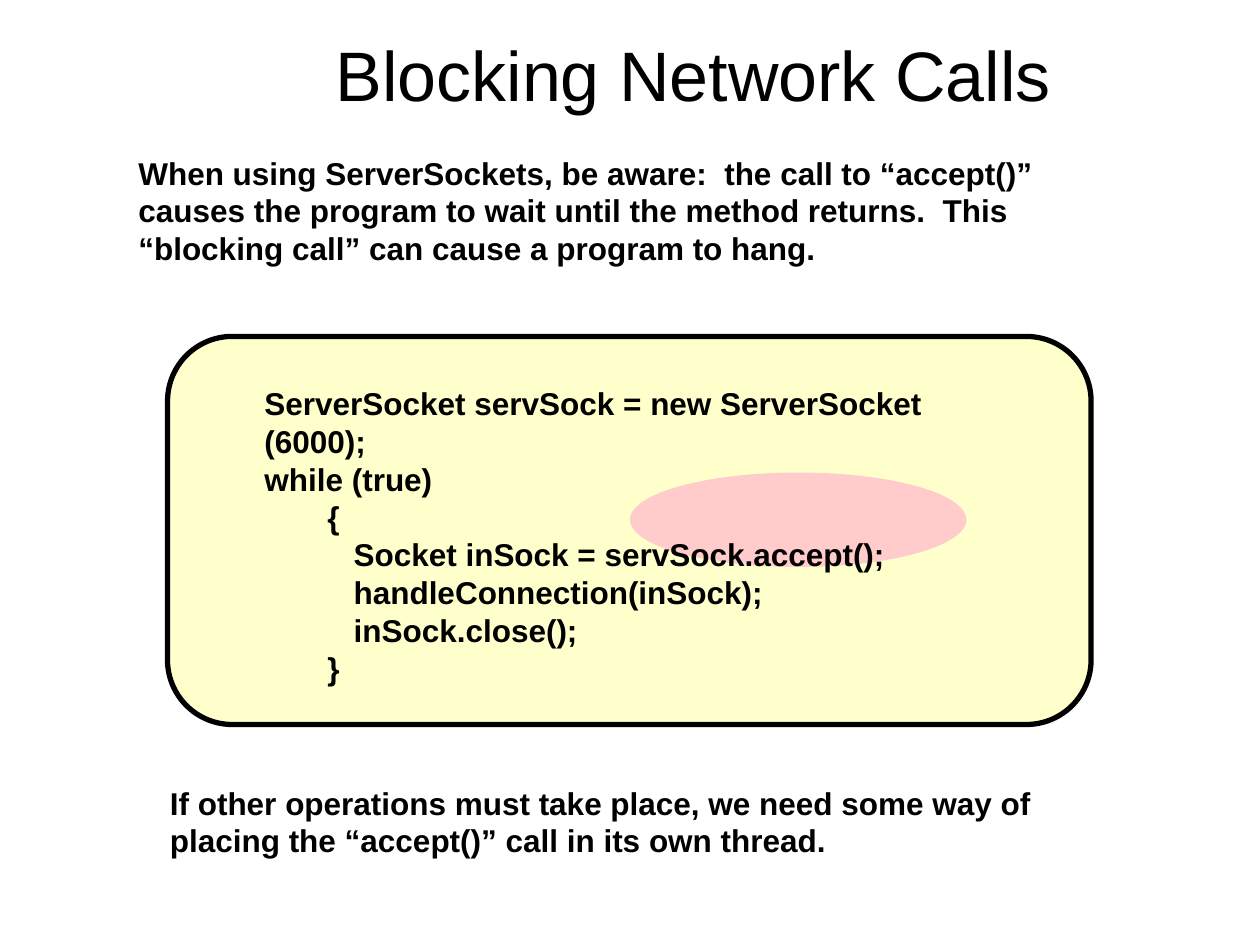
from dataclasses import dataclass

from lxml.etree import SubElement
from pptx import Presentation
from pptx.dml.color import RGBColor
from pptx.enum.shapes import MSO_SHAPE as Shape
from pptx.enum.text import MSO_ANCHOR as Anchor, MSO_AUTO_SIZE as AutoSize, PP_ALIGN as Align
from pptx.oxml.ns import qn
from pptx.util import Inches, Pt


@dataclass(frozen=True)
class Theme:
    font: str = "Arial"
    ink: RGBColor = RGBColor(0, 0, 0)
    panel: RGBColor = RGBColor(0xFF, 0xFF, 0x99)
    highlight: RGBColor = RGBColor(0xFF, 0x99, 0xCC)
    opacity: int = 50
    title_size: int = 40
    text_size: int = 18
    outline: int = 3


class PageBuilder:
    def __init__(self, page, theme):
        self.page = page
        self.theme = theme

    def style(self, frame, size, bold, align):
        for para in frame.paragraphs:
            para.alignment = align
            for span in para.runs:
                span.font.name = self.theme.font
                span.font.size = Pt(size)
                span.font.bold = bold
                span.font.color.rgb = self.theme.ink

    def title(self, text, left, top, width, height):
        box = self.page.shapes.title
        box.left, box.top = Inches(left), Inches(top)
        box.width, box.height = Inches(width), Inches(height)
        frame = box.text_frame
        frame.text = text
        frame.vertical_anchor = Anchor.MIDDLE
        frame.auto_size = AutoSize.NONE
        self.style(frame, self.theme.title_size, False, Align.CENTER)

    def shape(self, kind, color, left, top, width, height, outlined=False):
        shape = self.page.shapes.add_shape(
            kind, Inches(left), Inches(top), Inches(width), Inches(height)
        )
        shape.shadow.inherit = False
        shape.fill.solid()
        shape.fill.fore_color.rgb = color
        tint = shape.fill._xPr.find(qn("a:solidFill"))[0]
        SubElement(tint, qn("a:alpha"), val=str(self.theme.opacity * 1000))
        if outlined:
            shape.line.color.rgb = self.theme.ink
            shape.line.width = Pt(self.theme.outline)
        else:
            shape.line.fill.background()

    def text(self, text, left, top, width, height, wrap=True):
        box = self.page.shapes.add_textbox(
            Inches(left), Inches(top), Inches(width), Inches(height)
        )
        frame = box.text_frame
        frame.text = text
        frame.word_wrap = wrap
        frame.auto_size = AutoSize.SHAPE_TO_FIT_TEXT
        self.style(frame, self.theme.text_size, True, Align.LEFT)


CODE = [
    "ServerSocket servSock = new ServerSocket (6000);",
    "while (true)",
    "\t{",
    "\t   Socket inSock = servSock.accept();",
    "\t   handleConnection(inSock);",
    "\t   inSock.close();",
    "\t}",
]


def main():
    deck = Presentation()
    deck.slide_width, deck.slide_height = Inches(10), Inches(7.5)
    theme = Theme()
    builder = PageBuilder(deck.slides.add_slide(deck.slide_layouts[5]), theme)

    builder.title("Blocking Network Calls", 1, 0.25, 9, 0.67)
    builder.shape(Shape.ROUNDED_RECTANGLE, theme.panel, 1.33, 2.67, 7.33, 3.08, outlined=True)
    builder.shape(Shape.OVAL, theme.highlight, 5, 3.75, 2.67, 0.75)
    builder.text("\n".join(CODE), 2, 3, 6.29, 2.2, wrap=False)
    builder.text(
        "When using ServerSockets, be aware:  the call to “accept()” causes the "
        "program to wait until the method returns.  This “blocking call” can "
        "cause a program to hang.",
        1, 1.17, 8, 1.3,
    )
    builder.text(
        "If other operations must take place, we need some way of placing the "
        "“accept()” call in its own thread.",
        1.25, 6.17, 7.25, 0.7,
    )
    deck.save("out.pptx")


if __name__ == "__main__":
    main()
